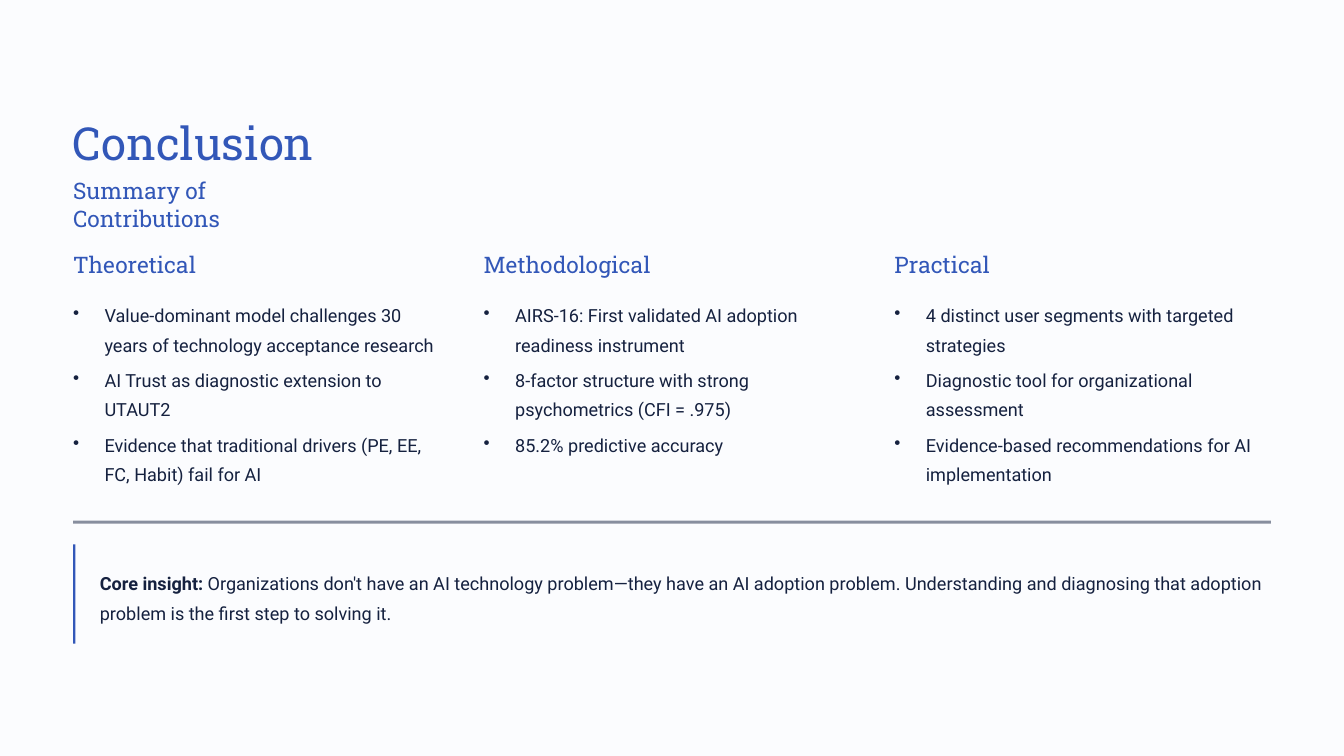
from lxml.etree import SubElement
from pptx import Presentation
from pptx.dml.color import RGBColor
from pptx.enum.shapes import MSO_SHAPE
from pptx.oxml.ns import qn
from pptx.util import Pt

TITLE = "Conclusion"
SUBTITLE = "Summary of Contributions"
CONTRIBUTIONS = [
    ("Theoretical", [
        "Value-dominant model challenges 30 years of technology acceptance research",
        "AI Trust as diagnostic extension to UTAUT2",
        "Evidence that traditional drivers (PE, EE, FC, Habit) fail for AI",
    ]),
    ("Methodological", [
        "AIRS-16: First validated AI adoption readiness instrument",
        "8-factor structure with strong psychometrics (CFI = .975)",
        "85.2% predictive accuracy",
    ]),
    ("Practical", [
        "4 distinct user segments with targeted strategies",
        "Diagnostic tool for organizational assessment",
        "Evidence-based recommendations for AI implementation",
    ]),
]
INSIGHT = [
    ("Core insight:", True),
    (" Organizations don't have an AI technology problem—they have an AI adoption "
     "problem. Understanding and diagnosing that adoption problem is the first step "
     "to solving it.", False),
]

COLORS = {"background": "FBFCFE", "accent": "3257B8", "ink": "15213F"}
HEADING_FONT, BODY_FONT = "Roboto Slab", "Roboto"
HEADING_SIZE, BODY_SIZE = 19.5, 15.5
HEADING_LINE, BODY_LINE = 24, 25

SLIDE_W, SLIDE_H = 1152, 648
MARGIN = 62.6
CONTENT_W = SLIDE_W - 2 * MARGIN
COLUMN_STEP, COLUMN_W = 352, 315
BULLET_INDENT, BULLET_GAP = 27, 5.4
INSIGHT_INDENT = 23


def color(name):
    return RGBColor.from_string(COLORS[name])


def add_box(slide, left, top, width, height, wrap=True):
    tf = slide.shapes.add_textbox(Pt(left), Pt(top), Pt(width), Pt(height)).text_frame
    tf.margin_left = tf.margin_top = tf.margin_right = tf.margin_bottom = 0
    tf.word_wrap = wrap
    return tf


def add_run(p, text, font, size, ink, bold=False):
    r = p.add_run()
    r.text = text
    r.font.name, r.font.size, r.font.bold = font, Pt(size), bold
    r.font.color.rgb = color(ink)


def add_heading(slide, text, left, top, width, size=HEADING_SIZE, line=HEADING_LINE):
    p = add_box(slide, left, top, width, line, wrap=False).paragraphs[0]
    p.line_spacing = Pt(line)
    add_run(p, text, HEADING_FONT, size, "accent")


def add_bullet(p):
    pPr = p._p.get_or_add_pPr()
    pPr.set("marL", str(Pt(BULLET_INDENT)))
    pPr.set("indent", str(-Pt(BULLET_INDENT)))
    SubElement(pPr, qn("a:buChar")).set("char", "•")


def add_bullets(slide, items, left, top):
    height = len(items) * 2 * BODY_LINE + (len(items) - 1) * BULLET_GAP
    tf = add_box(slide, left, top, COLUMN_W, height)
    for i, item in enumerate(items):
        p = tf.add_paragraph() if i else tf.paragraphs[0]
        add_bullet(p)
        p.line_spacing = Pt(BODY_LINE)
        if i:
            p.space_before = Pt(BULLET_GAP)
        add_run(p, item, BODY_FONT, BODY_SIZE, "ink")


def add_bar(slide, top, width, height, fill, opacity=100):
    sp = slide.shapes.add_shape(MSO_SHAPE.RECTANGLE, Pt(MARGIN), Pt(top), Pt(width), Pt(height))
    sp.shadow.inherit = False
    sp.line.fill.background()
    sp.fill.solid()
    sp.fill.fore_color.rgb = color(fill)
    if opacity < 100:
        clr = sp._element.spPr.find(qn("a:solidFill")).find(qn("a:srgbClr"))
        SubElement(clr, qn("a:alpha")).set("val", str(opacity * 1000))


def main():
    prs = Presentation()
    prs.slide_width, prs.slide_height = Pt(SLIDE_W), Pt(SLIDE_H)
    slide = prs.slides.add_slide(prs.slide_layouts[6])
    slide.background.fill.solid()
    slide.background.fill.fore_color.rgb = color("background")

    add_heading(slide, TITLE, MARGIN, 96.5, 391, size=39, line=48.5)
    add_heading(slide, SUBTITLE, MARGIN, 151.2, 245)

    for i, (heading, items) in enumerate(CONTRIBUTIONS):
        left = MARGIN + i * COLUMN_STEP
        add_heading(slide, heading, left, 214.6, 195)
        add_bullets(slide, items, left, 254.9)

    add_bar(slide, 446.2, CONTENT_W, 2.6, "ink", opacity=50)

    p = add_box(slide, MARGIN + INSIGHT_INDENT, 484.6,
                CONTENT_W - INSIGHT_INDENT, 2 * BODY_LINE).paragraphs[0]
    p.line_spacing = Pt(BODY_LINE)
    for text, bold in INSIGHT:
        add_run(p, text, BODY_FONT, BODY_SIZE, "ink", bold)
    add_bar(slide, 466.6, 2, 85, "accent")

    prs.save("out.pptx")


if __name__ == "__main__":
    main()
